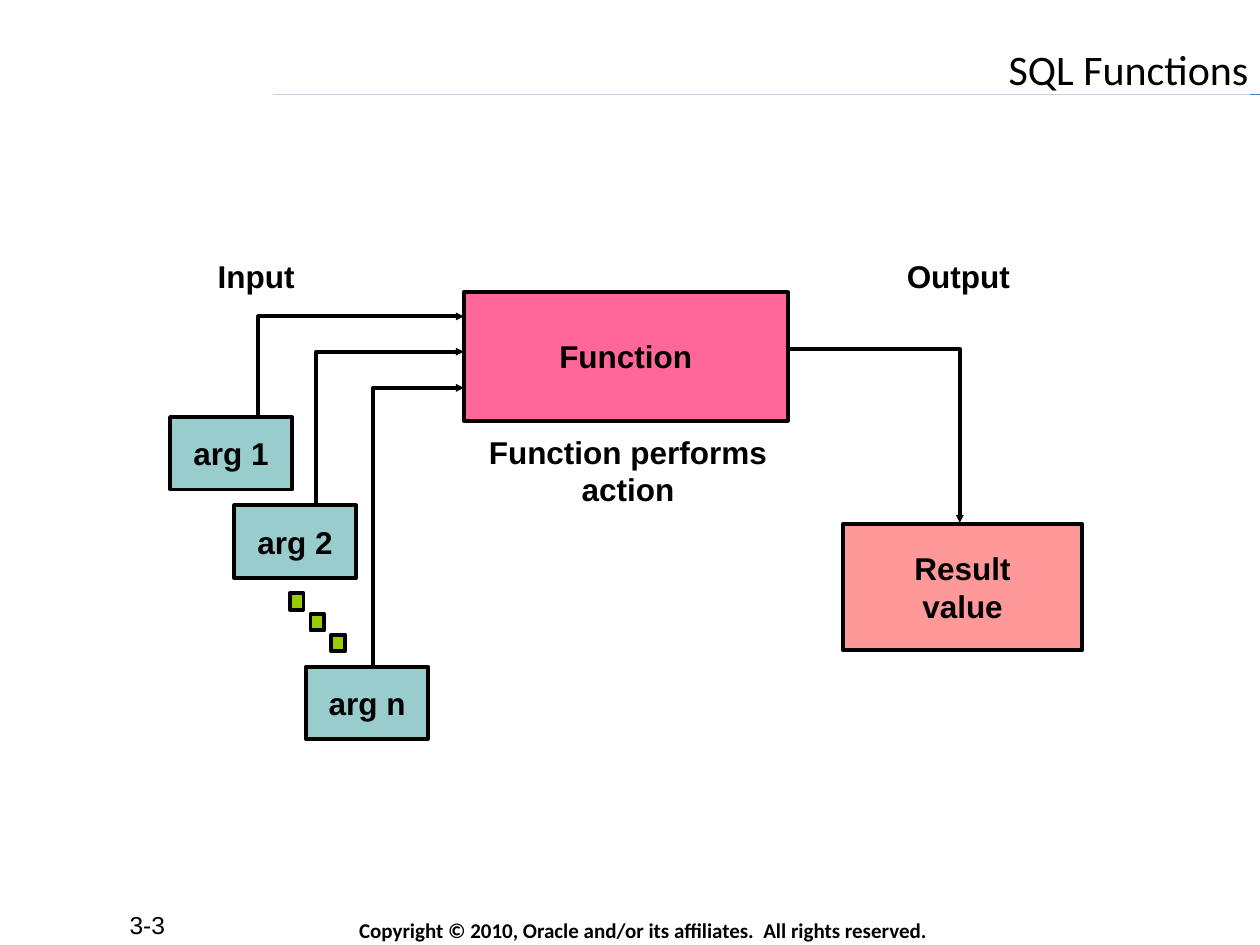
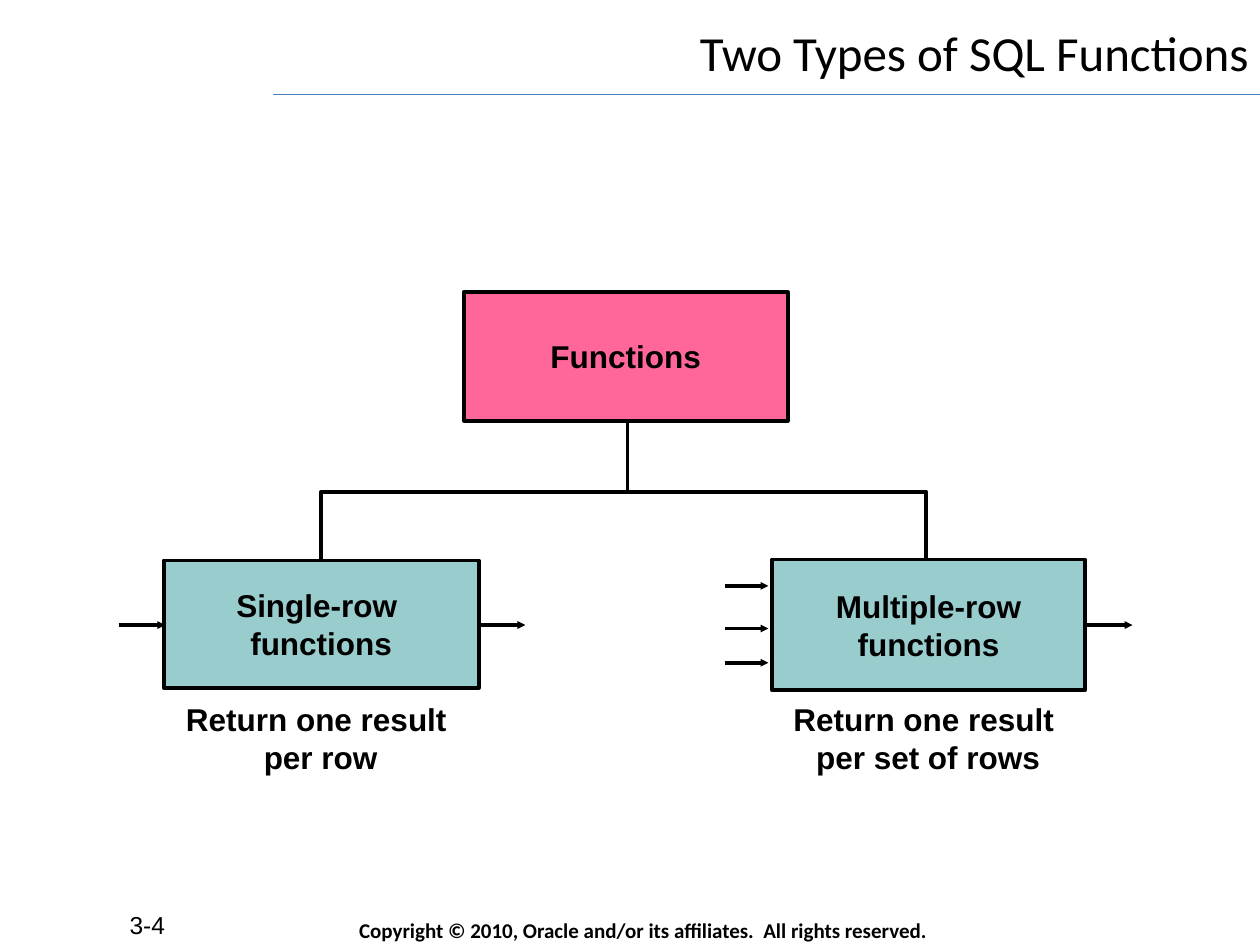
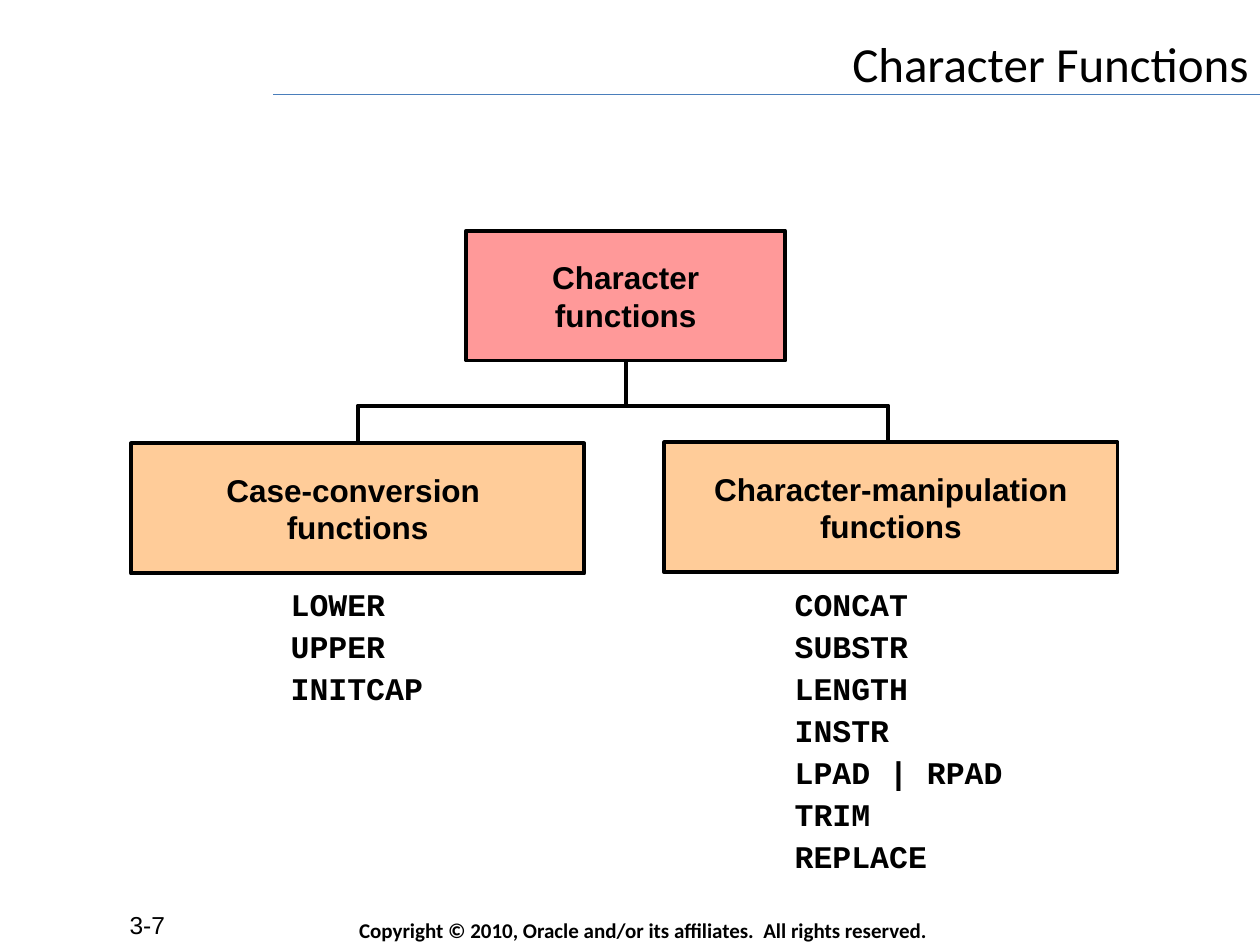
from lxml import etree
from pptx import Presentation
from pptx.dml.color import RGBColor
from pptx.enum.shapes import MSO_CONNECTOR, MSO_SHAPE
from pptx.enum.text import MSO_ANCHOR, MSO_AUTO_SIZE, PP_ALIGN
from pptx.oxml.ns import qn
from pptx.util import Cm, Pt

BLACK = RGBColor(0x00, 0x00, 0x00)
WHITE = RGBColor(0xFF, 0xFF, 0xFF)
BLUE = RGBColor(0x4A, 0x7E, 0xBB)
PINK = RGBColor(0xFF, 0x66, 0x99)
SALMON = RGBColor(0xFF, 0x99, 0x99)
TEAL = RGBColor(0x99, 0xCC, 0xCC)
GREEN = RGBColor(0x99, 0xCC, 0x00)
PEACH = RGBColor(0xFF, 0xCC, 0x99)

LEFT, CENTER, RIGHT = PP_ALIGN.LEFT, PP_ALIGN.CENTER, PP_ALIGN.RIGHT
TOP, MIDDLE = MSO_ANCHOR.TOP, MSO_ANCHOR.MIDDLE
RECTANGLE = MSO_SHAPE.RECTANGLE
STRAIGHT = MSO_CONNECTOR.STRAIGHT
FIXED_SIZE = MSO_AUTO_SIZE.NONE

COPYRIGHT = "Copyright © 2010, Oracle and/or its affiliates.  All rights reserved."


def write(slide, text, at, size=18, font="Arial", bold=True, align=CENTER,
          anchor=MIDDLE, wrap=False, fill=None, outline=True,
          inset=(0.25, 0.13), line_spacing=None, space_before=0):
    box = [Cm(value) for value in at]
    if fill is None:
        shape = slide.shapes.add_textbox(*box)
    else:
        shape = slide.shapes.add_shape(RECTANGLE, *box)
        shape.shadow.inherit = False
        shape.fill.solid()
        shape.fill.fore_color.rgb = fill
        if outline:
            shape.line.color.rgb = BLACK
            shape.line.width = Pt(2.25)
        else:
            shape.line.fill.background()
    frame = shape.text_frame
    frame.auto_size = FIXED_SIZE
    frame.word_wrap = wrap
    frame.vertical_anchor = anchor
    frame.margin_left = frame.margin_right = Cm(inset[0])
    frame.margin_top = frame.margin_bottom = Cm(inset[1])
    for index, content in enumerate(text.split("\n")):
        paragraph = frame.paragraphs[0] if index == 0 else frame.add_paragraph()
        paragraph.text = content
        paragraph.alignment = align
        paragraph.line_spacing = line_spacing
        if index and space_before:
            paragraph.space_before = Pt(space_before)
        paragraph.font.name = font
        paragraph.font.size = Pt(size)
        paragraph.font.bold = bold
        paragraph.font.color.rgb = BLACK


def route(slide, *points, arrow=False, color=BLACK, weight=2.25):
    stops = [(Cm(x), Cm(y)) for x, y in points]
    if len(stops) == 2:
        path = slide.shapes.add_connector(STRAIGHT, *stops[0], *stops[1])
    else:
        builder = slide.shapes.build_freeform(*stops[0])
        builder.add_line_segments(stops[1:], close=False)
        path = builder.convert_to_shape()
        path.fill.background()
        path.shadow.inherit = False
    path.line.color.rgb = color
    path.line.width = Pt(weight)
    properties = path.element.spPr
    if arrow:
        etree.SubElement(properties.find(qn("a:ln")), qn("a:tailEnd"),
                         type="triangle", w="sm", len="sm")
    if len(stops) == 2:
        etree.SubElement(properties, qn("a:effectLst"))


deck = Presentation()
deck.slide_width, deck.slide_height = Cm(25.4), Cm(19.05)
blank = deck.slide_layouts[6]

pages = []
for title, number, title_top, title_height, title_size in (
    ("SQL Functions", "3-3", 0.84, 1.07, 24),
    ("Two Types of SQL Functions", "3-4", 0.43, 1.27, 28),
    ("Character Functions", "3-7", 0.64, 1.07, 28),
):
    page = deck.slides.add_slide(blank)
    write(page, COPYRIGHT, (6.99, 18.49, 11.4, 0.53), size=12,
          font="Calibri", align=LEFT)
    route(page, (5.51, 1.9), (25.4, 1.9), color=BLUE, weight=0.75)
    write(page, number, (0, 18.21, 3.58, 0.84), size=14, bold=False,
          align=RIGHT, anchor=TOP, wrap=True)
    write(page, title, (3.61, title_top, 21.59, title_height), size=title_size,
          font="Calibri", bold=False, align=RIGHT, anchor=TOP, wrap=True,
          fill=WHITE, outline=False, inset=(0.03, 0.03))
    pages.append(page)
overview, types, characters = pages

FUNCTION_BOX = (9.35, 5.89, 6.53, 2.59)
write(overview, "Function", FUNCTION_BOX, fill=PINK)
for heading, left, width in (("Input", 4.14, 2.06), ("Output", 18.03, 2.59)):
    write(overview, heading, (left, 5.05, width, 1.02), align=LEFT, anchor=TOP)
for argument, left, top, exit_x, entry_y in (
    ("arg 1", 3.43, 8.41, 5.21, 6.38),
    ("arg 2", 4.72, 10.19, 6.38, 7.09),
    ("arg n", 6.17, 13.44, 7.52, 7.82),
):
    route(overview, (exit_x, top), (exit_x, entry_y), (9.35, entry_y), arrow=True)
    write(overview, argument, (left, top, 2.46, 1.46), fill=TEAL,
          inset=(0.33, 0.18))
for step in range(3):
    write(overview, "", (5.84 + 0.42 * step, 11.96 + 0.42 * step, 0.28, 0.33),
          fill=GREEN)
write(overview, "Function performs action", (9.04, 8.59, 7.24, 1.78),
      anchor=TOP, wrap=True)
route(overview, (15.93, 7.04), (19.35, 7.04), (19.35, 10.54), arrow=True)
write(overview, "Result\nvalue", (16.99, 10.57, 4.83, 2.54), fill=SALMON)

route(types, (12.65, 9.91), (12.65, 7.7))
route(types, (6.48, 11.28), (6.48, 9.91), (18.67, 9.91), (18.67, 11.38))
write(types, "Single-row \nfunctions", (3.3, 11.3, 6.35, 2.57), fill=TEAL)
write(types, "Multiple-row\nfunctions", (15.57, 11.28, 6.3, 2.64), fill=TEAL)
for start, end, level in (
    (2.39, 3.33, 12.6),
    (9.7, 10.59, 12.6),
    (21.89, 22.83, 12.6),
    (14.61, 15.49, 11.81),
    (14.61, 15.49, 12.67),
    (14.61, 15.49, 13.36),
):
    route(types, (start, level), (end, level), arrow=True)
for scope, left, width in (("per row", 2.16, 8.61), ("per set of rows", 13.82, 9.78)):
    write(types, f"Return one result \n{scope}", (left, 14.2, width, 1.35))
write(types, "Functions", FUNCTION_BOX, fill=PINK)

write(characters, "Character\nfunctions", (9.4, 4.65, 6.43, 2.62), fill=SALMON)
for names, left, width, height in (
    ("LOWER\nUPPER\nINITCAP", 5.61, 3.18, 2.64),
    ("CONCAT\nSUBSTR\nLENGTH\nINSTR\nLPAD | RPAD\nTRIM\nREPLACE", 15.77, 4.78, 6.02),
):
    write(characters, names, (left, 11.75, width, height), font="Courier New",
          align=LEFT, anchor=TOP, line_spacing=0.9, space_before=4.5)
route(characters, (12.62, 8.15), (12.62, 7.26))
route(characters, (7.21, 9.55), (7.21, 8.18), (17.91, 8.18), (17.91, 9.65))
for family, left, top in (
    ("Case-conversion ", 2.64, 8.94),
    ("Character-manipulation", 13.39, 8.92),
):
    write(characters, f"{family}\nfunctions", (left, top, 9.14, 2.62), fill=PEACH)

deck.save("out.pptx")
